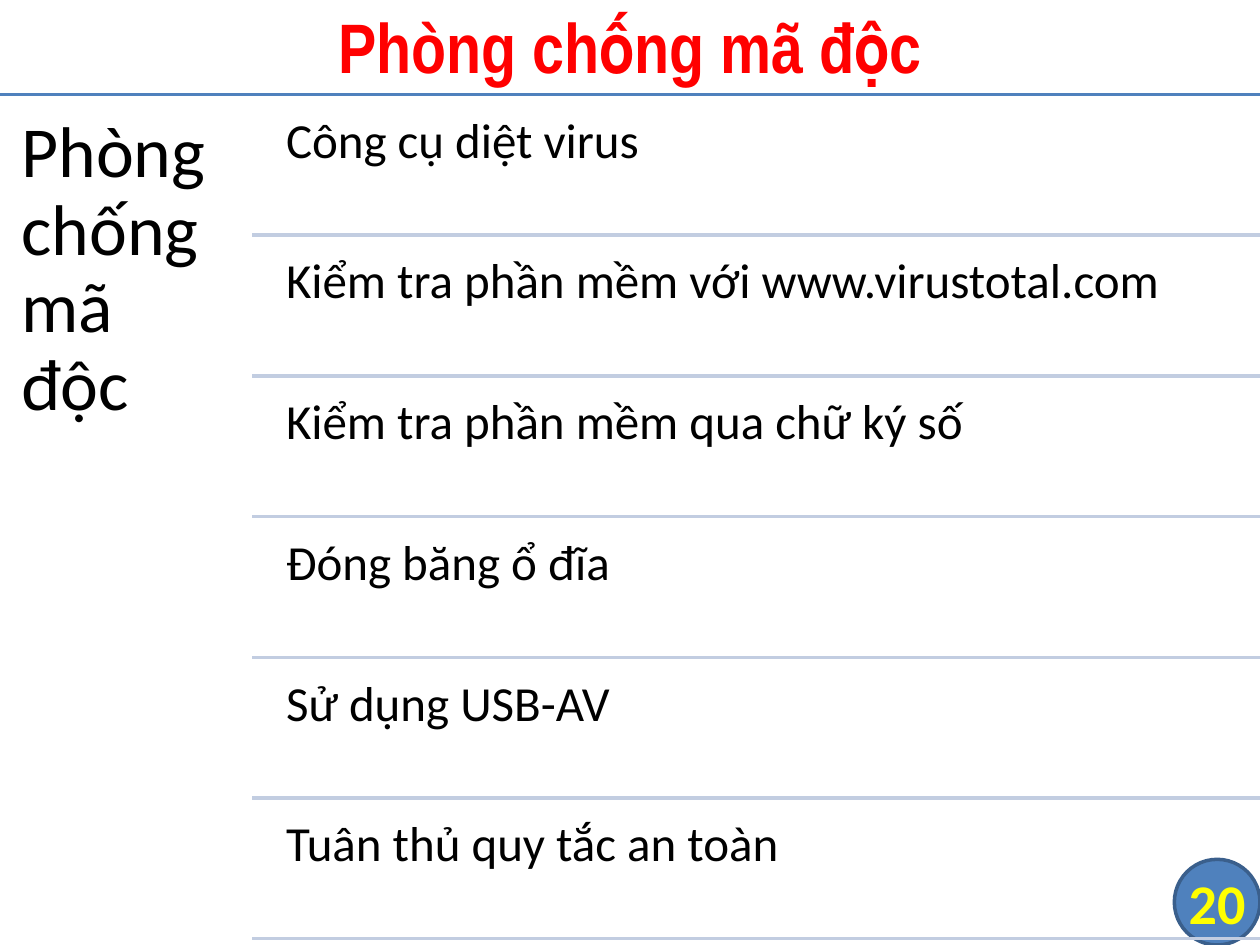
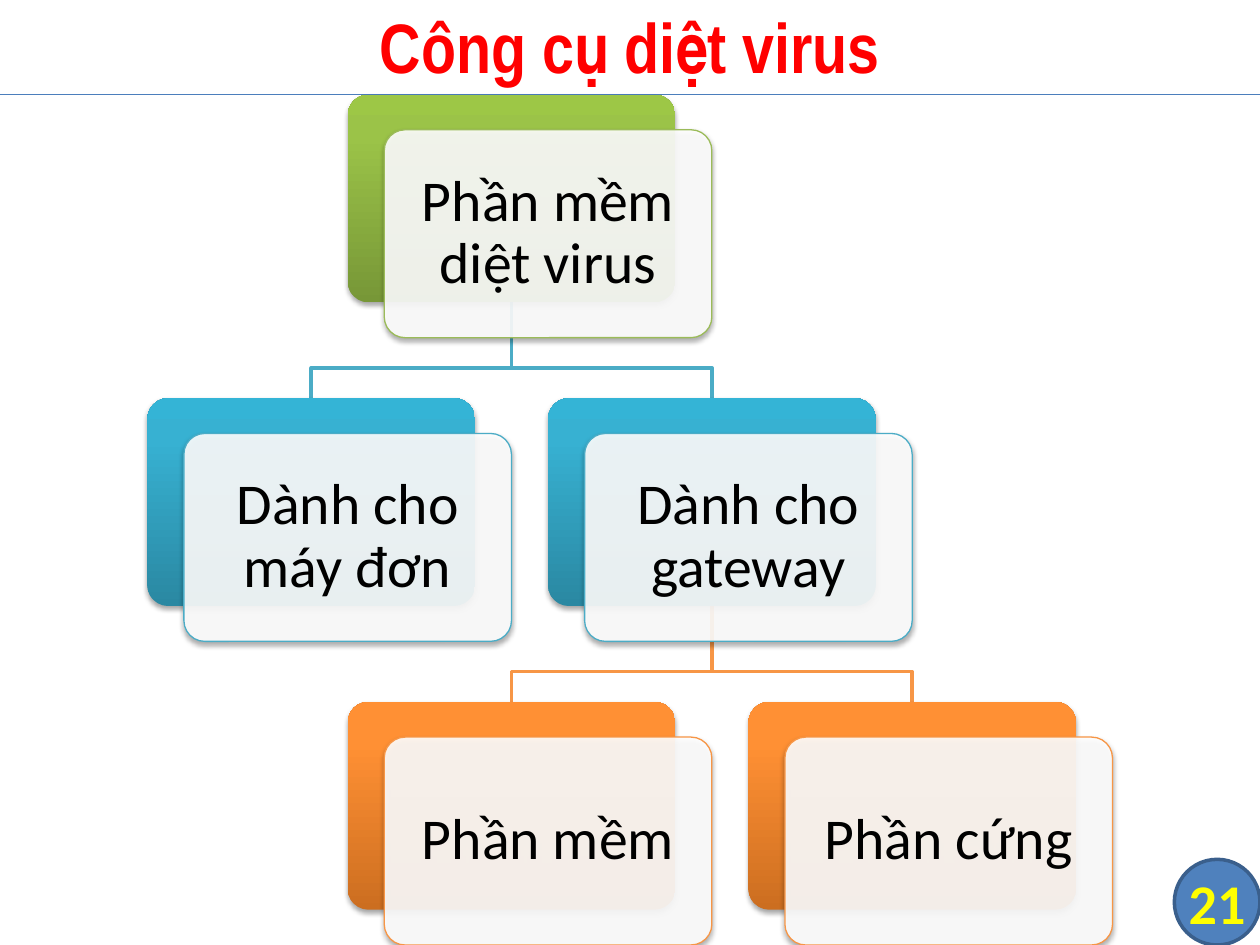
from dataclasses import dataclass

from lxml import etree
from pptx import Presentation
from pptx import util as u
from pptx.dml.color import RGBColor
from pptx.enum import shapes, text
from pptx.oxml.ns import qn

Inches, Pt = u.Inches, u.Pt


@dataclass(frozen=True)
class Branch:
    line: str
    stops: tuple  # (percent, colour) from bottom to top


@dataclass(frozen=True)
class Theme:
    body_font: str = "Calibri"
    title_font: str = "Arial Narrow"
    ink: str = "000000"
    title: str = "FF0000"
    number: str = "FFFF00"
    badge: str = "4F81BD"
    badge_line: str = "3A5F8C"
    rule: str = "4B7EBC"
    row_rule: str = "C2CDE1"
    card: str = "FFFFFF"
    title_size: int = 40
    number_size: int = 32
    topic_size: int = 41
    row_size: int = 28
    card_size: int = 33
    thin: float = 0.75
    thick: float = 2
    green: Branch = Branch("9BBB59", ((0, "779737"), (80, "9BC348"), (100, "9DC746")))
    blue: Branch = Branch("4BACC6", ((0, "2A88A2"), (80, "37B1D2"), (100, "34B4D6")))
    orange: Branch = Branch("F79646", ((0, "CC6E20"), (80, "FF9034"), (100, "FF9136")))


SLIDE_W, SLIDE_H = 10, 7.5
RULE_Y = 0.75
CARD_W, CARD_H = 2.6, 1.65
CARD_SHIFT = (0.29, 0.28)
ELBOW_DROP, LEVEL_GAP = 0.52, 0.76


def add_xml(parent, tag, **attributes):
    return etree.SubElement(parent, qn(tag), **{k: str(v) for k, v in attributes.items()})


class Deck:
    def __init__(self, theme):
        self.theme = theme
        self.prs = Presentation()
        self.prs.slide_width = Inches(SLIDE_W)
        self.prs.slide_height = Inches(SLIDE_H)
        self.slide = None

    def start_slide(self, number):
        """New slide with the shared number badge and title rule."""
        t = self.theme
        self.slide = self.prs.slides.add_slide(self.prs.slide_layouts[6])
        badge = self.shape(shapes.MSO_SHAPE.FLOWCHART_CONNECTOR, 9.32, 6.82, 0.68, 0.68)
        badge.fill.solid()
        badge.fill.fore_color.rgb = RGBColor.from_string(t.badge)
        self.stroke(badge.line, t.badge_line, t.thick)
        self.set_text(badge, str(number), t.number_size, t.number, inset=0,
                      centred=True, bold=True, wrap=False)
        self.rule(0, RULE_Y, t.rule, t.thin)

    def title(self, words):
        t = self.theme
        box = self.slide.shapes.add_textbox(Inches(0), Inches(-0.03), Inches(SLIDE_W), Inches(0.78))
        self.set_text(box, words, t.title_size, t.title, font=t.title_font,
                      inset=0.05, centred=True, bold=True)

    def set_text(self, shape, words, size, colour, font=None, inset=0.1,
                 centred=False, bold=False, wrap=True, spacing=None):
        frame = shape.text_frame
        frame.word_wrap = wrap
        frame.margin_left = frame.margin_right = Inches(inset)
        frame.margin_top = frame.margin_bottom = Inches(inset)
        frame.vertical_anchor = text.MSO_ANCHOR.MIDDLE if centred else text.MSO_ANCHOR.TOP
        paragraph = frame.paragraphs[0]
        paragraph.text = words
        paragraph.alignment = text.PP_ALIGN.CENTER if centred else text.PP_ALIGN.LEFT
        paragraph.line_spacing = spacing
        paragraph.font.name = font or self.theme.body_font
        paragraph.font.size = Pt(size)
        paragraph.font.bold = bold
        paragraph.font.color.rgb = RGBColor.from_string(colour)

    def label(self, words, x, y, w, h, size, inset):
        box = self.slide.shapes.add_textbox(Inches(x), Inches(y), Inches(w), Inches(h))
        self.set_text(box, words, size, self.theme.ink, inset=inset, spacing=0.9)

    def stroke(self, line, colour, width):
        line.color.rgb = RGBColor.from_string(colour)
        line.width = Pt(width)

    def rule(self, x, y, colour, width):
        """Horizontal line from x to the right edge."""
        line = self.slide.shapes.add_connector(
            shapes.MSO_CONNECTOR.STRAIGHT, Inches(x), Inches(y), Inches(SLIDE_W), Inches(y))
        self.stroke(line.line, colour, width)
        add_xml(line._element.spPr, "a:effectLst")

    def shape(self, kind, x, y, w, h):
        shape = self.slide.shapes.add_shape(kind, Inches(x), Inches(y), Inches(w), Inches(h))
        shape.shadow.inherit = False
        return shape

    def panel(self, x, y):
        """Rounded card outline with a soft shadow below."""
        panel = self.shape(shapes.MSO_SHAPE.ROUNDED_RECTANGLE, x, y, CARD_W, CARD_H)
        panel.adjustments[0] = 0.1
        effects = panel._element.spPr.find(qn("a:effectLst"))
        shadow = add_xml(effects, "a:outerShdw", blurRad=Pt(3.1), dist=Pt(1.8),
                         dir=5400000, rotWithShape=0)
        add_xml(add_xml(shadow, "a:srgbClr", val="000000"), "a:alpha", val=35000)
        return panel

    def card(self, words, x, y, branch):
        t = self.theme
        back = self.panel(x, y)
        back.line.fill.background()
        back.fill.gradient()
        back.fill.gradient_angle = 90
        stops = back._element.spPr.find(qn("a:gradFill")).find(qn("a:gsLst"))
        for stop in list(stops):
            stops.remove(stop)
        for percent, colour in branch.stops:
            add_xml(add_xml(stops, "a:gs", pos=percent * 1000), "a:srgbClr", val=colour)

        front = self.panel(x + CARD_SHIFT[0], y + CARD_SHIFT[1])
        front.fill.solid()
        front.fill.fore_color.rgb = RGBColor.from_string(t.card)
        solid = front._element.spPr.find(qn("a:solidFill"))
        add_xml(solid[0], "a:alpha", val=90000)
        self.stroke(front.line, branch.line, t.thin)
        self.set_text(front, words, t.card_size, t.ink, inset=0.14, centred=True, spacing=0.9)

    def elbow(self, parent, child, branch):
        """Bent line from a parent card's bottom to a child card's top."""
        x1, x2 = (Inches(left + CARD_W / 2) for left in (parent[0], child[0]))
        y = parent[1] + CARD_H
        bend, end = Inches(y + ELBOW_DROP), Inches(y + LEVEL_GAP)
        builder = self.slide.shapes.build_freeform(x1, Inches(y))
        builder.add_line_segments([(x1, bend), (x2, bend), (x2, end)], close=False)
        line = builder.convert_to_shape()
        line.shadow.inherit = False
        line.fill.background()
        self.stroke(line.line, branch.line, self.theme.thick)


def protection_slide(deck):
    t = deck.theme
    deck.start_slide(20)
    deck.rule(0, RULE_Y, t.badge, t.thick)
    deck.label("Phòng chống mã độc", 0, RULE_Y, 2, 6.75, t.topic_size, 0.17)

    # Measures, each closed by a rule
    measures = [
        "Công cụ diệt virus",
        "Kiểm tra phần mềm với www.virustotal.com",
        "Kiểm tra phần mềm qua chữ ký số",
        "Đóng băng ổ đĩa",
        "Sử dụng USB-AV",
        "Tuân thủ quy tắc an toàn",
    ]
    row_h, gap = 1.06, 0.05
    pitch = 6.7 / len(measures)
    for i, measure in enumerate(measures):
        top = RULE_Y + gap + i * pitch
        deck.label(measure, 2.15, top, 7.85, row_h, t.row_size, 0.12)
        deck.rule(2, RULE_Y + (i + 1) * pitch, t.row_rule, t.thick)
    deck.title("Phòng chống mã độc")


def tools_slide(deck):
    t = deck.theme
    deck.start_slide(21)

    # Tree: columns half a card pitch apart, one row per level
    half_pitch, level_pitch = 1.59, CARD_H + LEVEL_GAP

    def spot(column, level):
        return 1.17 + column * half_pitch, RULE_Y + level * level_pitch

    software, single, gateway = spot(1, 0), spot(0, 1), spot(2, 1)
    gateway_software, gateway_hardware = spot(1, 2), spot(3, 2)

    for parent, child, branch in [
        (gateway, gateway_hardware, t.orange),
        (gateway, gateway_software, t.orange),
        (software, gateway, t.blue),
        (software, single, t.blue),
    ]:
        deck.elbow(parent, child, branch)

    for words, place, branch in [
        ("Phần mềm diệt virus", software, t.green),
        ("Dành cho máy đơn", single, t.blue),
        ("Dành cho gateway", gateway, t.blue),
        ("Phần mềm", gateway_software, t.orange),
        ("Phần cứng", gateway_hardware, t.orange),
    ]:
        deck.card(words, *place, branch)
    deck.title("Công cụ diệt virus")


def main():
    deck = Deck(Theme())
    protection_slide(deck)
    tools_slide(deck)
    deck.prs.save("out.pptx")


if __name__ == "__main__":
    main()
